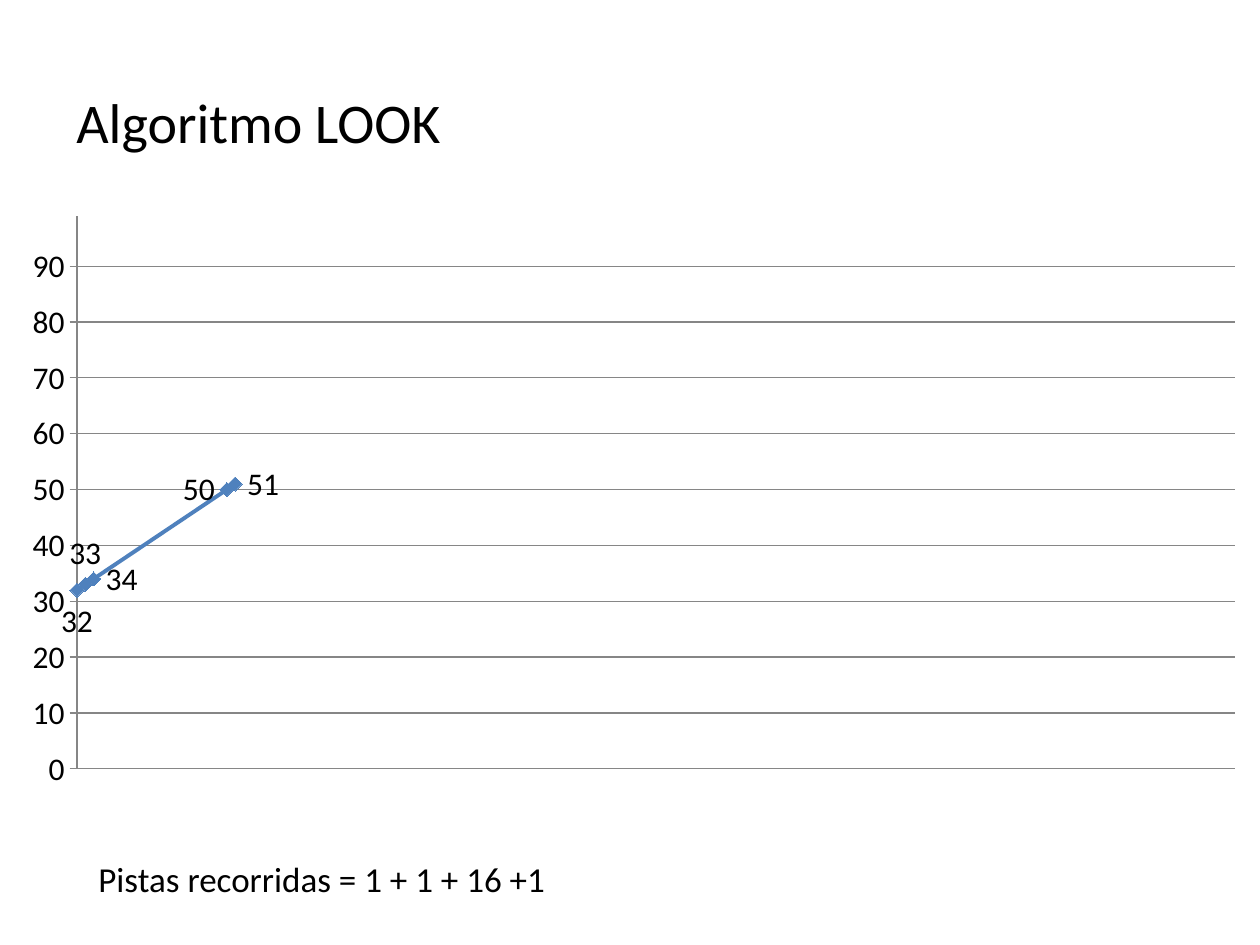
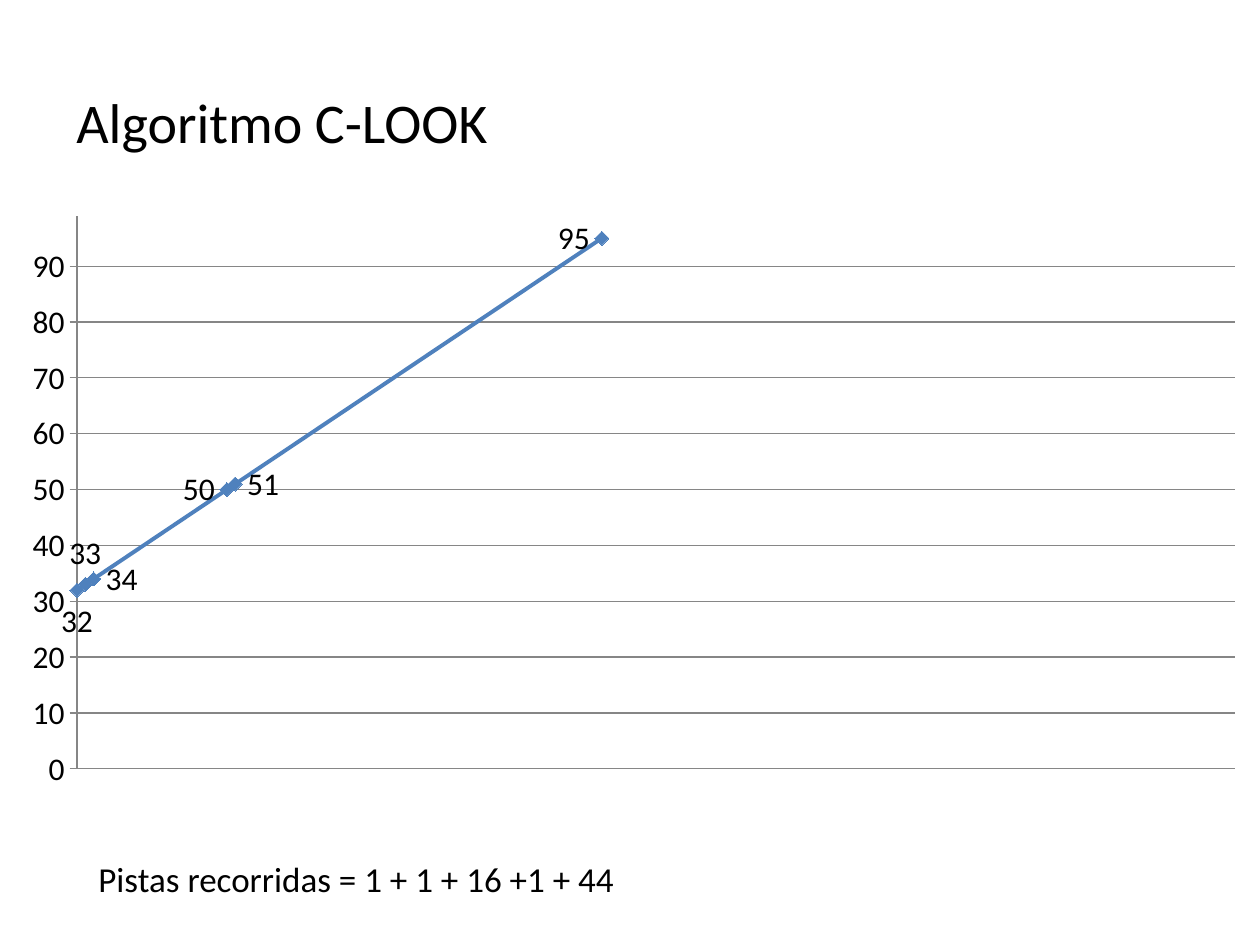
from dataclasses import dataclass

from lxml import etree
from pptx import Presentation
from pptx.chart.data import XyChartData
from pptx.dml.color import RGBColor
from pptx.enum.chart import (
    XL_CHART_TYPE,
    XL_LABEL_POSITION as LabelPos,
    XL_MARKER_STYLE as Marker,
    XL_TICK_LABEL_POSITION as TickLabels,
    XL_TICK_MARK as Tick,
)
from pptx.enum.text import MSO_ANCHOR
from pptx.oxml.ns import qn
from pptx.util import Emu, Pt

# Tracks in visiting order, each with the side on which its label sits
LOOK_TRACKS = [
    (32, LabelPos.BELOW),
    (33, LabelPos.ABOVE),
    (34, LabelPos.RIGHT),
    (50, LabelPos.LEFT),
    (51, LabelPos.RIGHT),
]
ALGORITHMS = [
    {
        "title": "Algoritmo LOOK",
        "tracks": LOOK_TRACKS,
        "total": "Pistas recorridas = 1 + 1 + 16 +1",
    },
    {
        "title": "Algoritmo C-LOOK",
        "tracks": LOOK_TRACKS + [(95, LabelPos.LEFT)],
        "total": "Pistas recorridas = 1 + 1 + 16 +1 + 44",
    },
]
LAST_TRACK = 99
TRACK_STEP = 10
LONGEST_TRAVEL = 139


@dataclass(frozen=True)
class Theme:
    font: str = "Calibri"
    text: RGBColor = RGBColor(0x00, 0x00, 0x00)
    seek: RGBColor = RGBColor(0x4F, 0x81, 0xBD)
    axis: RGBColor = RGBColor(0x86, 0x86, 0x86)
    title_size: int = 32
    total_size: int = 20
    chart_size: int = 18
    marker_size: int = 8
    seek_width: float = 2.25
    axis_width: float = 0.75


THEME = Theme()

# Boxes in px: left, top, width, height
PX = 914400 // 126
SLIDE_SIZE = (1260, 945)
CHART_BOX = (9, 204, 1251, 595)
PLOT_BOX = (77, 216, 1158, 553)
TITLE_BOX = (64, 37, 1134, 169)
TOTAL_BOX = (86, 829, 1061, 100)


def emu(box):
    return [Emu(length * PX) for length in box]


def style_font(font, size):
    font.name = THEME.font
    font.size = Pt(size)
    font.color.rgb = THEME.text


def style_line(line, color, width):
    line.color.rgb = color
    line.width = Pt(width)


def add_text(slide, box, text, size):
    frame = slide.shapes.add_textbox(*emu(box)).text_frame
    frame.word_wrap = True
    frame.vertical_anchor = MSO_ANCHOR.MIDDLE
    frame.text = text
    style_font(frame.paragraphs[0].font, size)


def place_plot(chart):
    """Fix the inner plot area at PLOT_BOX, as fractions of CHART_BOX."""
    left, top, width, height = CHART_BOX
    x, y, w, h = PLOT_BOX
    settings = {
        "layoutTarget": "inner",
        "xMode": "edge",
        "yMode": "edge",
        "x": (x - left) / width,
        "y": (y - top) / height,
        "w": w / width,
        "h": h / height,
    }
    plot_area = chart.element.find(".//" + qn("c:plotArea"))
    for automatic in plot_area.findall(qn("c:layout")):
        plot_area.remove(automatic)
    layout = etree.Element(qn("c:layout"))
    manual = etree.SubElement(layout, qn("c:manualLayout"))
    for tag, value in settings.items():
        etree.SubElement(manual, qn("c:" + tag)).set("val", str(value))
    plot_area.insert(0, layout)


def style_axis(axis, maximum, tick, gridlines):
    axis.minimum_scale = 0
    axis.maximum_scale = maximum
    axis.major_tick_mark = tick
    axis.minor_tick_mark = Tick.NONE
    axis.has_major_gridlines = gridlines
    style_line(axis.format.line, THEME.axis, THEME.axis_width)
    if gridlines:
        style_line(axis.major_gridlines.format.line, THEME.axis, THEME.axis_width)


def style_seek(series, label_sides):
    series.smooth = False
    style_line(series.format.line, THEME.seek, THEME.seek_width)
    marker = series.marker
    marker.style = Marker.DIAMOND
    marker.size = THEME.marker_size
    marker.format.fill.solid()
    marker.format.fill.fore_color.rgb = THEME.seek
    marker.format.line.color.rgb = THEME.seek
    for index, side in enumerate(label_sides):
        label = series.points[index].data_label
        style_font(label.font, THEME.chart_size)
        label.position = side


def add_seek_chart(slide, stops):
    """Plot each track against the distance travelled from the first one."""
    tracks, label_sides = zip(*stops)
    data = XyChartData()
    seek = data.add_series("Series 1")
    for track in tracks:
        seek.add_data_point(track - tracks[0], track)
    chart = slide.shapes.add_chart(
        XL_CHART_TYPE.XY_SCATTER_LINES, *emu(CHART_BOX), data
    ).chart
    chart.has_legend = False
    chart.has_title = False
    style_font(chart.font, THEME.chart_size)
    chart.plots[0].vary_by_categories = False
    place_plot(chart)

    travel_axis, track_axis = chart.category_axis, chart.value_axis
    style_axis(travel_axis, LONGEST_TRAVEL, Tick.NONE, False)
    travel_axis.tick_label_position = TickLabels.NONE
    style_axis(track_axis, LAST_TRACK, Tick.OUTSIDE, True)
    track_axis.major_unit = TRACK_STEP
    style_seek(chart.plots[0].series[0], label_sides)


def main():
    deck = Presentation()
    deck.slide_width, deck.slide_height = emu(SLIDE_SIZE)
    blank = deck.slide_layouts[6]
    for algorithm in ALGORITHMS:
        slide = deck.slides.add_slide(blank)
        add_seek_chart(slide, algorithm["tracks"])
        add_text(slide, TITLE_BOX, algorithm["title"], THEME.title_size)
        add_text(slide, TOTAL_BOX, algorithm["total"], THEME.total_size)
    deck.save("out.pptx")


if __name__ == "__main__":
    main()
